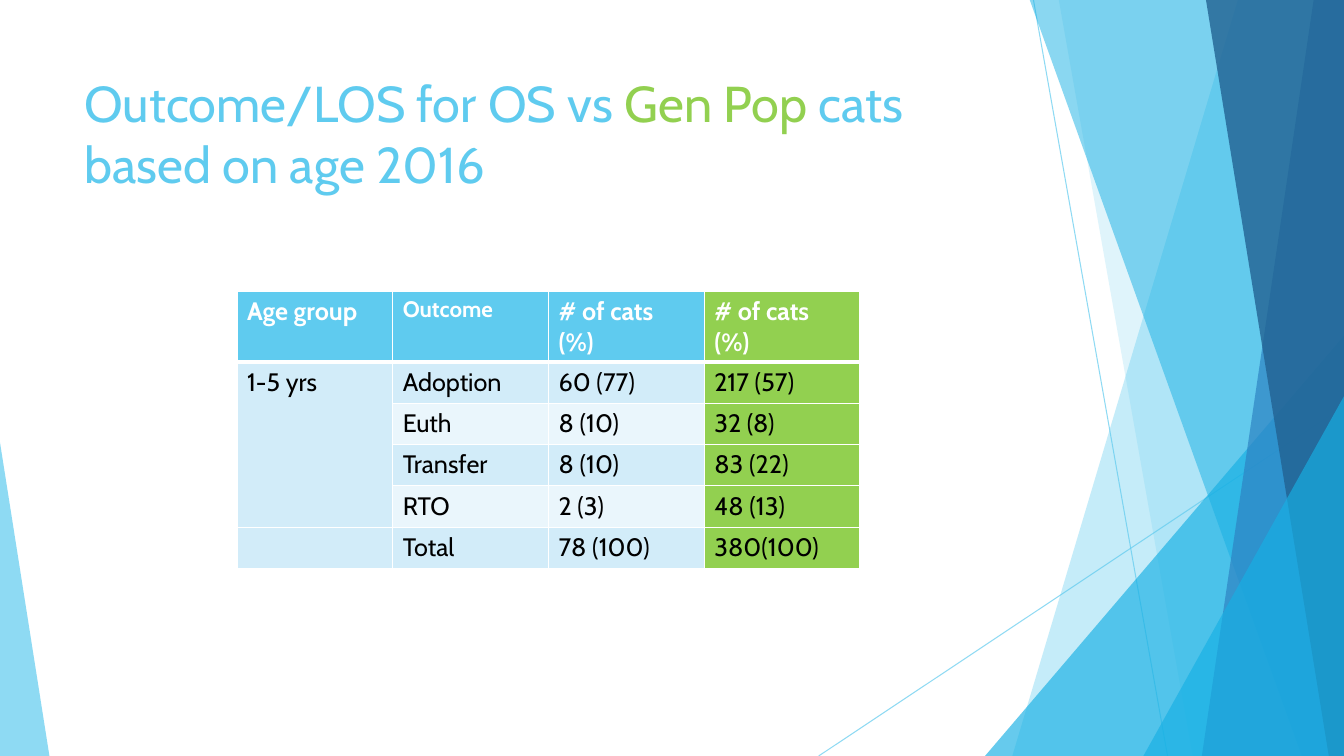
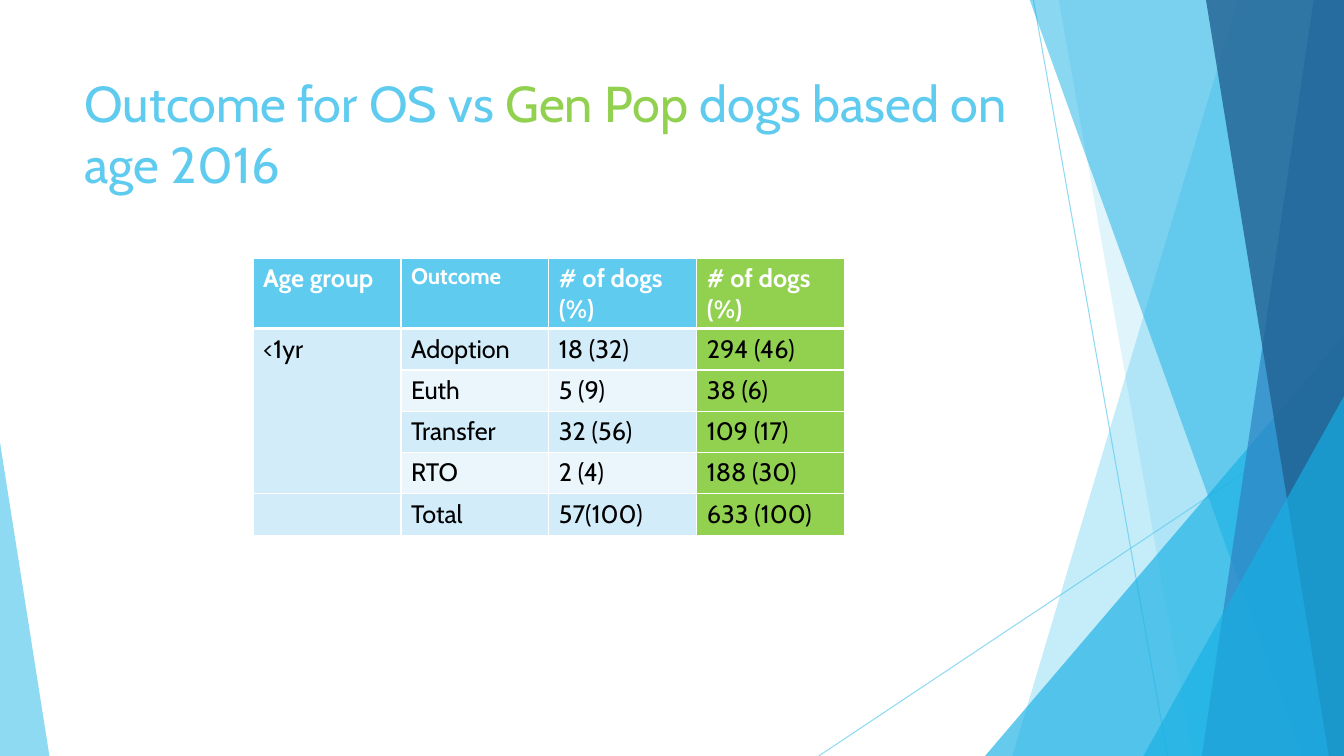
from lxml.etree import SubElement
from pptx import Presentation
from pptx.dml.color import RGBColor
from pptx.enum.shapes import MSO_CONNECTOR, MSO_SHAPE
from pptx.oxml import parse_xml
from pptx.oxml.ns import nsdecls, qn
from pptx.util import Inches, Pt

FONT = "Cabin"
SKY, AZURE, BLUE, NAVY = "5FCBEF", "17B0E4", "2E83C3", "226292"
GREEN, WHITE, BLACK = "92D050", "FFFFFF", "000000"
BANDS = ["D2ECF9", "EAF6FC"]
RIGHT, TOP, BOTTOM = 13.33, -0.01, 7.5
ROW_HEIGHT = 0.41

# Background pieces from back to front
RAYS = [(10.25, 0, 11.58, BOTTOM), (RIGHT, 4.03, 8.12, BOTTOM)]
FACETS = [  # kind, geometry, colour, opacity in percent
    ("panel", (12.28, 10.04), SKY, 36),  # x at top and bottom of left edge
    ("panel", (10.5, 11.83), SKY, 20),
    ("triangle", (9.77, 3.33, 3.56, 1), AZURE, 66),  # left, top, width, apex
    ("panel", (10.21, 12.91), AZURE, 50),
    ("panel", (13.03, 11.92), BLUE, 70),
    ("panel", (11.96, 13.18), NAVY, 80),
    ("triangle", (11.34, 3.93, 1.99, 1), AZURE, 66),
    ("triangle", (0, 4.39, 0.49, 0), SKY, 70),
]

PAGES = [
    {
        "title": [("Outcome/LOS for OS vs ", SKY), ("Gen Pop ", GREEN),
                  ("cats based on age 2016", SKY)],
        "left": 2.35, "top": 2.89, "column": 1.545,
        "rows": [
            ("Age group", "Outcome", "# of cats (%)", "# of cats (%)"),
            ("1-5 yrs", "Adoption", "60 (77)", "217 (57)"),
            ("", "Euth", "8 (10)", "32 (8)"),
            ("", "Transfer", "8 (10)", "83 (22)"),
            ("", "RTO", "2 (3)", "48 (13)"),
            ("", "Total", "78 (100)", "380(100)"),
        ],
    },
    {
        "title": [("Outcome for OS vs ", SKY), ("Gen Pop", GREEN),
                  (" dogs based on age 2016", SKY)],
        "left": 2.51, "top": 2.56, "column": 1.467,
        "rows": [
            ("Age group", "Outcome", "# of dogs (%)", "# of dogs (%)"),
            ("<1yr", "Adoption", "18 (32)", "294 (46)"),
            ("", "Euth", "5 (9)", "38 (6)"),
            ("", "Transfer", "32 (56)", "109 (17)"),
            ("", "RTO", "2 (4)", "188 (30)"),
            ("", "Total", "57(100)", "633 (100)"),
        ],
    },
]


def rgb(value):
    return RGBColor.from_string(value)


def set_opacity(piece, percent):
    """Apply one opacity to every solid colour of a shape or connector."""
    for colour in piece._element.spPr.iter(qn("a:srgbClr")):
        SubElement(colour, qn("a:alpha")).set("val", str(percent * 1000))


prs = Presentation()
prs.slide_width, prs.slide_height = Inches(RIGHT), Inches(BOTTOM)

for page in PAGES:
    slide = prs.slides.add_slide(prs.slide_layouts[6])
    shapes = slide.shapes

    for ends in RAYS:
        ray = shapes.add_connector(MSO_CONNECTOR.STRAIGHT, *map(Inches, ends))
        ray.line.color.rgb = rgb(SKY)
        ray.line.width = Pt(0.75)
        set_opacity(ray, 70)
        SubElement(ray._element.spPr, qn("a:effectLst"))

    for kind, geometry, colour, opacity in FACETS:
        if kind == "panel":
            top_x, bottom_x = geometry
            outline = shapes.build_freeform(Inches(top_x), Inches(TOP))
            corners = [(RIGHT, TOP), (RIGHT, BOTTOM), (bottom_x, BOTTOM)]
            outline.add_line_segments([(Inches(x), Inches(y)) for x, y in corners])
            facet = outline.convert_to_shape()
        else:
            left, top, width, apex = geometry
            facet = shapes.add_shape(MSO_SHAPE.ISOSCELES_TRIANGLE, Inches(left),
                                     Inches(top), Inches(width), Inches(BOTTOM - top))
            facet.adjustments[0] = apex
        facet.shadow.inherit = False
        facet.line.fill.background()
        facet.fill.solid()
        facet.fill.fore_color.rgb = rgb(colour)
        set_opacity(facet, opacity)

    title = shapes.add_textbox(Inches(0.74), Inches(0.67), Inches(9.4), Inches(1.44))
    title.text_frame.word_wrap = True
    for words, colour in page["title"]:
        run = title.text_frame.paragraphs[0].add_run()
        run.text = words
        run.font.name, run.font.size = FONT, Pt(36)
        run.font.color.rgb = rgb(colour)

    rows = page["rows"]
    column_count = len(rows[0])
    outcomes = shapes.add_table(
        len(rows), column_count, Inches(page["left"]), Inches(page["top"]),
        Inches(page["column"] * column_count), Inches(ROW_HEIGHT * len(rows))).table
    for column in outcomes.columns:
        column.width = Inches(page["column"])
    for row in outcomes.rows:
        row.height = Inches(ROW_HEIGHT)
    outcomes.cell(1, 0).merge(outcomes.cell(4, 0))

    for r, values in enumerate(rows):
        header = r == 0
        for c, value in enumerate(values):
            cell = outcomes.cell(r, c)
            if c == column_count - 1:
                background = GREEN
            elif header:
                background = SKY
            else:
                background = BANDS[(r - 1) % 2]
            cell.fill.solid()
            cell.fill.fore_color.rgb = rgb(background)

            for position, side in enumerate("LRTB"):
                thick = (header and side == "B") or (r == 1 and side == "T")
                cell._tc.get_or_add_tcPr().insert(position, parse_xml(
                    f'<a:ln{side} {nsdecls("a")} w="{Pt(3 if thick else 1)}">'
                    f'<a:solidFill><a:srgbClr val="{WHITE}"/></a:solidFill></a:ln{side}>'))

            paragraph = cell.text_frame.paragraphs[0]
            paragraph.text = value
            for run in paragraph.runs:
                run.font.name = FONT
                run.font.size = Pt(16 if header and c == 1 else 18)
                run.font.bold = header
                run.font.color.rgb = rgb(WHITE if header else BLACK)

prs.save("out.pptx")
